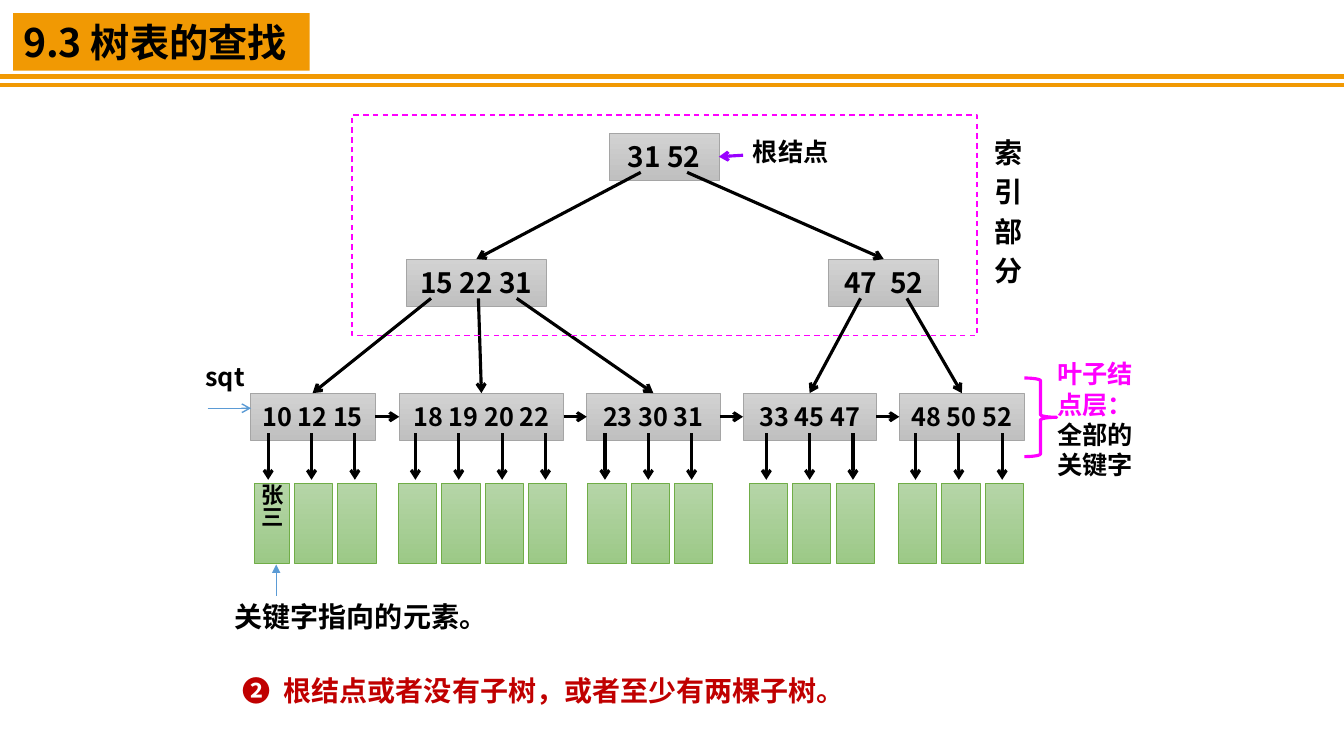
import pptx
import pptx.util
import pptx.dml.color
import pptx.enum.dml
import pptx.enum.shapes
import pptx.enum.text
import lxml.etree

FONT = "Noto Sans CJK SC"
BLACK, ORANGE, MAGENTA, RED = "000000", "F19903", "FF00FF", "C00000"
BLUE, PURPLE = "5B9BD5", "9900FF"
GREY_NODE = ("D2D2D2", "C0C0C0", "A5A5A5")
GREEN_RECORD = ("B5D5A7", "9CC987", "70AD47")

TITLE = "9.3 树表的查找"
RULE = "❷  根结点或者没有子树，或者至少有两棵子树。"
INDEX_NODES = {
    "root": ("31 52", 6.04, 1.32, 1.09),
    "left": ("15 22 31", 4.03, 2.57, 1.39),
    "right": ("47  52", 8.22, 2.57, 1.09),
}
LEAVES = [
    ("10 12 15", 2.48, 1.24, 2.49),
    ("18 19 20 22", 3.96, 1.63, 3.95),
    ("23 30 31", 5.82, 1.32, 5.83),
    ("33 45 47", 7.37, 1.32, 7.43),
    ("48 50 52", 8.92, 1.24, 8.91),
]
BRANCHES = [
    ("root", -0.23, "left"), ("root", 0.23, "right"),
    ("left", -0.45, 0), ("left", 0.02, 1), ("left", 0.4, 2),
    ("right", -0.23, 3), ("right", 0.23, 4),
]
LABELS = [
    ([[("关键字指向的元素。", BLACK)]], (2.23, 5.9, 2.89, 0.44), 20),
    ([[(c, BLACK)] for c in "索引部分"], (9.77, 1.38, 0.4, 1.61), 20),
    ([[("根结点", BLACK)]], (7.37, 1.3, 1.16, 0.4), 18),
    ([[("sqt", BLACK)]], (1.94, 3.54, 0.63, 0.4), 18),
    ([[("叶子结点层：", MAGENTA), ("全部的关键字", BLACK)]], (10.39, 3.51, 1.07, 1.31), 18),
]
NODE_H, LEAF_Y, BRANCH_DROP = 0.47, 3.9, 0.39
RECORD_Y, RECORD_W, RECORD_H, RECORD_PITCH = 4.8, 0.38, 0.79, 0.43

SHAPE = pptx.enum.shapes.MSO_SHAPE
ALIGN = pptx.enum.text.PP_ALIGN
ANCHOR = pptx.enum.text.MSO_ANCHOR
inch, pt = pptx.util.Inches, pptx.util.Pt

prs = pptx.Presentation()
prs.slide_width, prs.slide_height = inch(13.33), inch(7.5)
slide = prs.slides.add_slide(prs.slide_layouts[5])


def rgb(value):
    return pptx.dml.color.RGBColor.from_string(value)


def write(sp, paragraphs, size, align=ALIGN.LEFT, anchor=ANCHOR.TOP,
          insets=(0.1, 0.05, 0.1, 0.05), wrap=True):
    tf = sp.text_frame
    tf.word_wrap, tf.vertical_anchor = wrap, anchor
    tf.auto_size = pptx.enum.text.MSO_AUTO_SIZE.NONE
    tf.margin_left, tf.margin_top, tf.margin_right, tf.margin_bottom = map(inch, insets)
    for i, runs in enumerate(paragraphs):
        p = tf.add_paragraph() if i else tf.paragraphs[0]
        p.alignment = align
        p.font.size, p.font.bold, p.font.name = pt(size), True, FONT
        if len(paragraphs) > 1:
            p.line_spacing = pt(18)
            p.space_before = pt(10 if i else 0)
        for text, color in runs:
            r = p.add_run()
            r.text = text
            r.font.color.rgb = rgb(color)
            r.font.size, r.font.bold, r.font.name = pt(size), True, FONT
            ea = lxml.etree.SubElement(r.font._element, pptx.oxml.ns.qn("a:ea"))
            ea.set("typeface", FONT)


def add_shape(kind, box, line=None, width=0.5):
    sp = slide.shapes.add_shape(kind, *map(inch, box))
    sp.shadow.inherit = False
    sp.fill.background()
    if line:
        sp.line.color.rgb, sp.line.width = rgb(line), pt(width)
    else:
        sp.line.fill.background()
    return sp


def add_block(box, colors):
    sp = add_shape(SHAPE.RECTANGLE, box, colors[2])
    sp.fill.gradient()
    sp.fill.gradient_angle = 270
    for stop, color in zip(sp.fill.gradient_stops, colors):
        stop.color.rgb = rgb(color)
    return sp


def add_node(text, left, top, width, size):
    sp = add_block((left, top, width, NODE_H), GREY_NODE)
    write(sp, [[(text, BLACK)]], size, ALIGN.CENTER, ANCHOR.MIDDLE, (0, 0.05, 0, 0.05))
    return sp


def add_line(start, end, color=BLACK, width=2.25, head="arrow"):
    c = slide.shapes.add_connector(
        pptx.enum.shapes.MSO_CONNECTOR.STRAIGHT, *map(inch, start + end))
    c.line.color.rgb, c.line.width = rgb(color), pt(width)
    if head:
        tail = lxml.etree.SubElement(c.line._get_or_add_ln(), pptx.oxml.ns.qn("a:tailEnd"))
        tail.set("type", head)
    lxml.etree.SubElement(c._element.spPr, pptx.oxml.ns.qn("a:effectLst"))
    return c


title = slide.shapes.title
title.left, title.top, title.width, title.height = map(inch, (0.13, 0.13, 2.94, 0.57))
title.fill.solid()
title.fill.fore_color.rgb = rgb(ORANGE)
write(title, [[(TITLE, BLACK)]], 28, wrap=False)
for y in (0.76, 0.84):
    add_line((0, y), (13.33, y), ORANGE, 3, None)

rule = add_shape(SHAPE.RECTANGLE, (2.25, 6.56, 7.34, 0.57))
rule.fill.solid()
rule.fill.fore_color.rgb = rgb("FFFFFF")
write(rule, [[(RULE, RED)]], 20, insets=(0.16, 0.12, 0.1, 0.12))

nodes = {}
for name, (text, left, top, width) in INDEX_NODES.items():
    nodes[name] = add_node(text, left, top, width, 20)
for i, (text, left, width, _) in enumerate(LEAVES):
    nodes[i] = add_node(text, left, LEAF_Y, width, 18)

for i in range(len(LEAVES) - 1):
    link = add_line((0, 0), (1, 1))
    link.begin_connect(nodes[i], 3)
    link.end_connect(nodes[i + 1], 1)
for parent, shift, child in BRANCHES:
    _, left, top, width = INDEX_NODES[parent]
    branch = add_line((left + width / 2 + shift, top + BRANCH_DROP), (1, 1))
    branch.end_connect(nodes[child], 0)

for i, (text, _, _, first) in enumerate(LEAVES):
    for j in range(len(text.split())):
        left = first + j * RECORD_PITCH
        x = left + 0.17
        add_line((x, LEAF_Y + 0.4), (x, RECORD_Y - 0.04))
        inset = 0.03 if i == j == 0 else 0
        record = add_block((left + inset, RECORD_Y, RECORD_W - inset, RECORD_H), GREEN_RECORD)
        if inset:
            write(record, [[("张三", BLACK)]], 16, insets=(0.04, 0, 0.04, 0))
            record.text_frame._txBody.bodyPr.set("vert", "eaVert")

add_line((2.74, 5.91), (2.74, 5.6), BLUE, 1, "triangle")
index_area = add_shape(SHAPE.RECTANGLE, (3.49, 1.14, 6.2, 2.19), MAGENTA, 1)
index_area.line.dash_style = pptx.enum.dml.MSO_LINE.DASH
root_pointer = add_line((7.37, 1.54), (7.13, 1.54), PURPLE)
root_pointer.end_connect(nodes["root"], 3)
add_line((2.06, 4.05), (2.49, 4.05), BLUE, 1)
for paragraphs, box, size in LABELS:
    write(slide.shapes.add_textbox(*map(inch, box)), paragraphs, size)
add_shape(SHAPE.RIGHT_BRACE, (10.16, 3.75, 0.32, 0.78), MAGENTA, 2.25)

prs.save("out.pptx")
